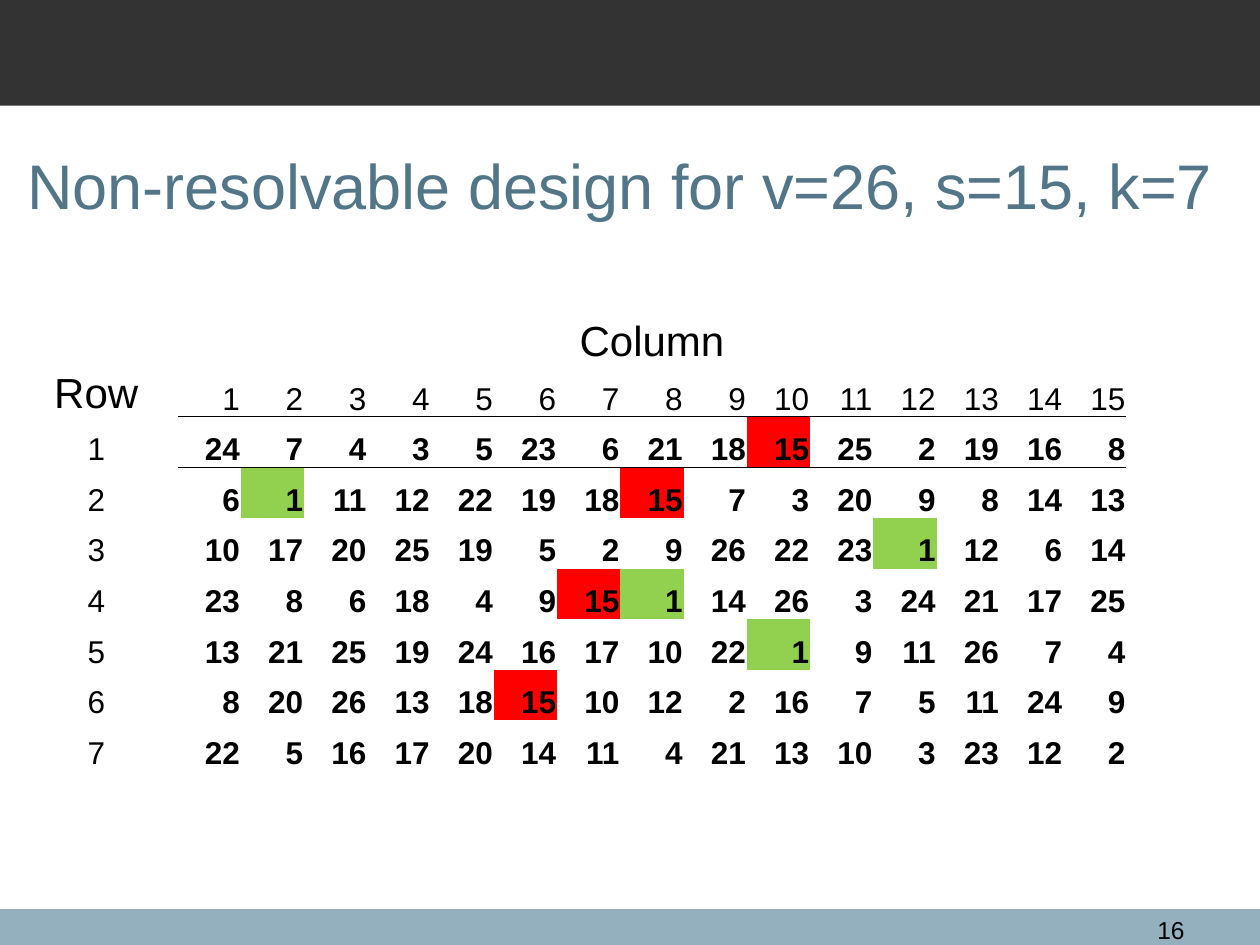
from lxml import etree
from pptx import Presentation
from pptx import util as u
from pptx.dml.color import RGBColor
from pptx.enum import shapes, text
from pptx.oxml import ns

COLORS = {
    "band": "333333",
    "footer": "94B0BE",
    "title": "527688",
    "ink": "000000",
    "red": "FF0000",
    "green": "92D050",
}
HIGHLIGHTS = {15: "red", 1: "green"}
NO_GRID_STYLE = "{2D5ABB26-0587-4C30-8999-92F81FD0307C}"
DESIGN = [
    [24, 7, 4, 3, 5, 23, 6, 21, 18, 15, 25, 2, 19, 16, 8],
    [6, 1, 11, 12, 22, 19, 18, 15, 7, 3, 20, 9, 8, 14, 13],
    [10, 17, 20, 25, 19, 5, 2, 9, 26, 22, 23, 1, 12, 6, 14],
    [23, 8, 6, 18, 4, 9, 15, 1, 14, 26, 3, 24, 21, 17, 25],
    [13, 21, 25, 19, 24, 16, 17, 10, 22, 1, 9, 11, 26, 7, 4],
    [8, 20, 26, 13, 18, 15, 10, 12, 2, 16, 7, 5, 11, 24, 9],
    [22, 5, 16, 17, 20, 14, 11, 4, 21, 13, 10, 3, 23, 12, 2],
]


class SlideBuilder:
    font = "Arial"
    center = text.PP_ALIGN.CENTER
    right = text.PP_ALIGN.RIGHT

    def __init__(self, slide):
        self.slide = slide

    def color(self, name):
        return RGBColor.from_string(COLORS[name])

    def set_text(self, frame, words, size, color="ink", align=None, bold=False):
        para = frame.paragraphs[0]
        para.text = str(words)
        para.alignment = align
        para.font.name = self.font
        para.font.size = u.Pt(size)
        para.font.bold = bold
        para.font.color.rgb = self.color(color)

    def band(self, top, height, color):
        band = self.slide.shapes.add_shape(
            shapes.MSO_SHAPE.RECTANGLE, 0, u.Cm(top), u.Cm(25.4), u.Cm(height))
        band.shadow.inherit = False
        band.fill.solid()
        band.fill.fore_color.rgb = self.color(color)
        band.line.fill.background()

    def label(self, left, top, width, height, words, size,
              anchor=text.MSO_ANCHOR.TOP, **style):
        box = self.slide.shapes.add_textbox(
            u.Cm(left), u.Cm(top), u.Cm(width), u.Cm(height))
        box.text_frame.word_wrap = True
        box.text_frame.vertical_anchor = anchor
        self.set_text(box.text_frame, words, size, **style)

    def table(self, left, top, widths, row_height, row_count):
        table = self.slide.shapes.add_table(
            row_count, len(widths), u.Cm(left), u.Cm(top),
            u.Cm(sum(widths)), u.Cm(row_height * row_count)).table
        table.first_row = table.horz_banding = False
        table._tbl.tblPr.find(ns.qn("a:tableStyleId")).text = NO_GRID_STYLE
        for column, width in zip(table.columns, widths):
            column.width = u.Cm(width)
        for row in table.rows:
            row.height = u.Cm(row_height)
        for cell in table.iter_cells():
            cell.margin_left = cell.margin_right = cell.margin_top = u.Cm(0.02)
            cell.margin_bottom = 0
            cell.vertical_anchor = text.MSO_ANCHOR.BOTTOM
            cell.fill.background()
        return table

    def cell(self, cell, words, size, align, bold=False, fill=None, border=None):
        self.set_text(cell.text_frame, words, size, align=align, bold=bold)
        if fill:
            cell.fill.solid()
            cell.fill.fore_color.rgb = self.color(fill)
        if border:
            line = etree.Element(ns.qn(f"a:{border}"), w=str(u.Pt(0.5)))
            solid = etree.SubElement(line, ns.qn("a:solidFill"))
            etree.SubElement(solid, ns.qn("a:srgbClr"), val=COLORS["ink"])
            cell._tc.get_or_add_tcPr().insert(0, line)


deck = Presentation()
deck.slide_width, deck.slide_height = u.Cm(25.4), u.Cm(19.05)
page = SlideBuilder(deck.slides.add_slide(deck.slide_layouts[6]))

page.band(18.33, 0.72, "footer")
page.band(0, 2.13, "band")
page.label(0.3, 2.13, 24.61, 3.18, "Non-resolvable design for v=26, s=15, k=7", 36,
           anchor=text.MSO_ANCHOR.MIDDLE, color="title")
page.label(22.5, 18.33, 1.63, 0.62, "16", 14, align=page.right)

column_count = len(DESIGN[0])
widths = [3.28] + [19.13 / column_count] * column_count + [2.67]
grid = page.table(0.3, 6.33, widths, 1.02, len(DESIGN) + 3)
grid.cell(0, 1).merge(grid.cell(0, column_count))
page.cell(grid.cell(0, 1), "Column", 24, page.center)
page.cell(grid.cell(1, 0), "Row", 24, page.center)
for column in range(1, column_count + 1):
    page.cell(grid.cell(1, column), column, 18, page.right, border="lnB")
for number, treatments in enumerate(DESIGN, 1):
    page.cell(grid.cell(number + 1, 0), number, 18, page.center)
    for column, treatment in enumerate(treatments, 1):
        page.cell(grid.cell(number + 1, column), treatment, 18, page.right, bold=True,
                  fill=HIGHLIGHTS.get(treatment), border="lnT" if number == 1 else None)

deck.save("out.pptx")
